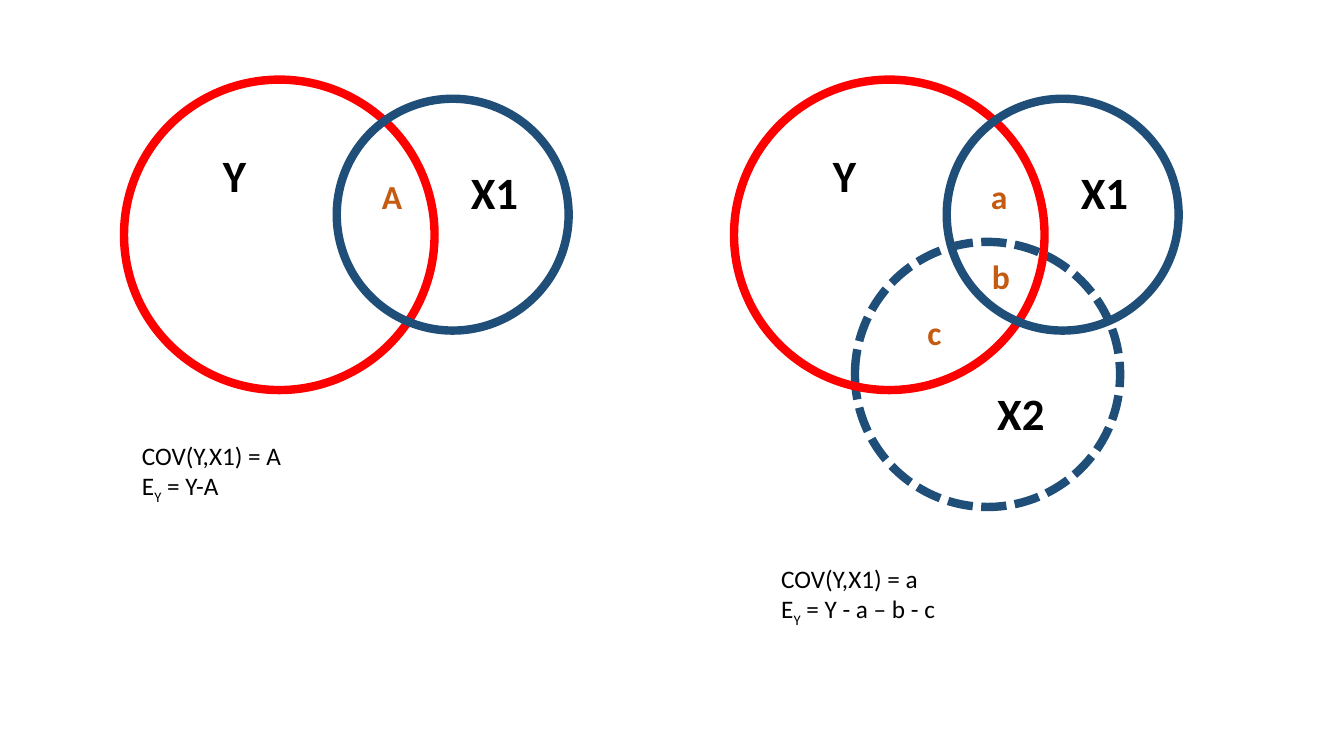
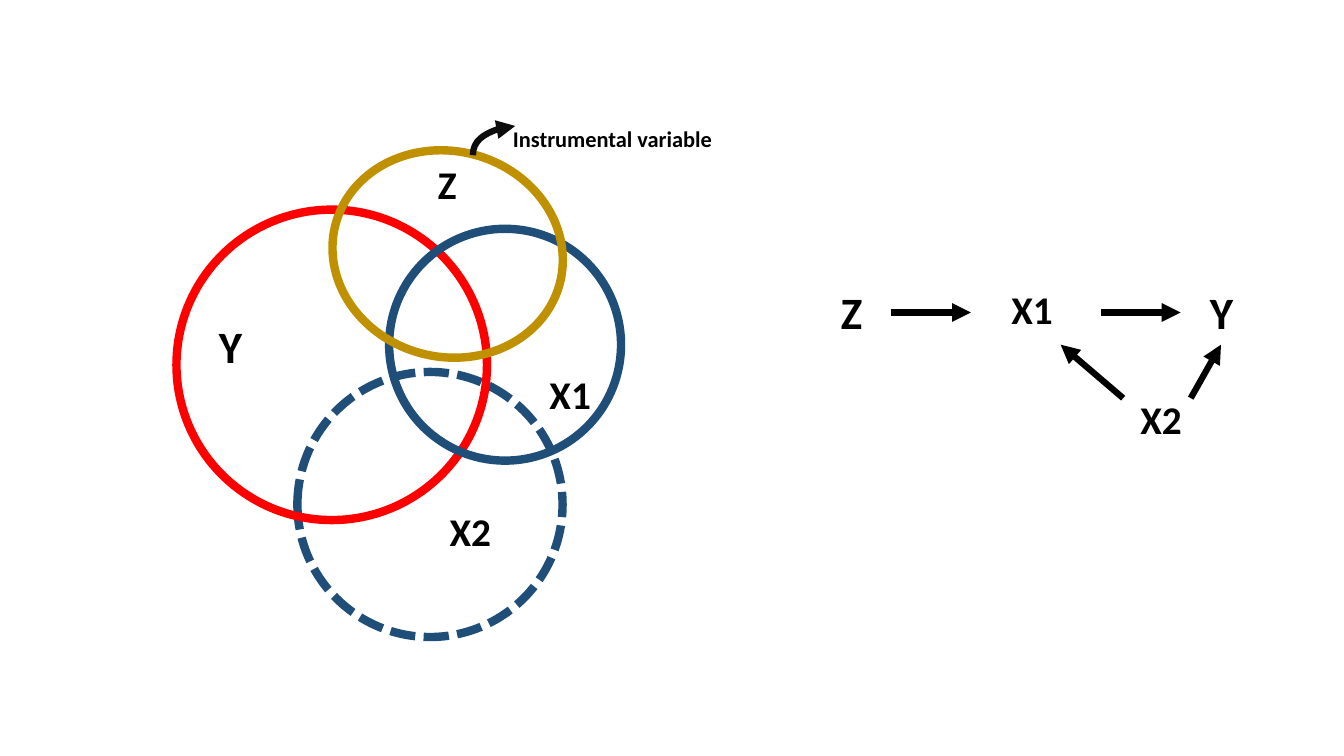
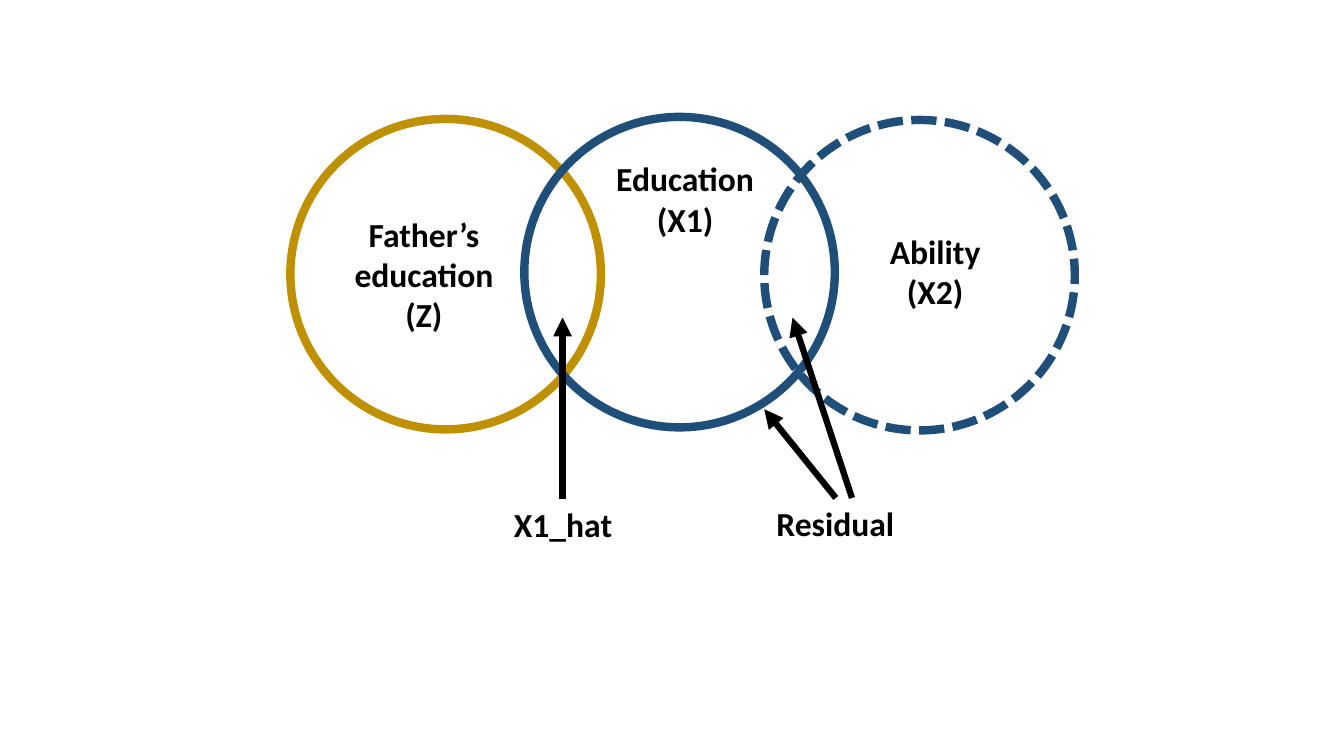
from dataclasses import dataclass

from lxml import etree
from pptx import Presentation
from pptx.dml.color import RGBColor
from pptx.enum.dml import MSO_LINE
from pptx.enum.shapes import MSO_CONNECTOR, MSO_SHAPE
from pptx.enum.text import MSO_AUTO_SIZE, PP_ALIGN
from pptx.oxml.ns import qn
from pptx.util import Inches, Pt

OVAL = MSO_SHAPE.OVAL
STRAIGHT, CURVE = MSO_CONNECTOR.STRAIGHT, MSO_CONNECTOR.CURVE
DASHED = MSO_LINE.SQUARE_DOT
LEFT, CENTER = PP_ALIGN.LEFT, PP_ALIGN.CENTER
GROW = MSO_AUTO_SIZE.SHAPE_TO_FIT_TEXT
BLANK_LAYOUT = 6

# The slide is a square grid: 133.3 columns by 75 rows.
COLUMNS, ROWS = 133.3, 75
CELL = Inches(0.1)
LARGE, MEDIUM, SMALL = 30.8, 26.3, 23  # circle diameters in cells


@dataclass(frozen=True)
class Theme:
    """Colours, font, type sizes and line widths of the deck."""
    font: str = "Calibri"
    black: str = "000000"
    near_black: str = "0D0D0D"
    red: str = "FF0000"
    blue: str = "1F4E79"
    gold: str = "BF9000"
    orange: str = "C55A11"
    variable: int = 32
    compact: int = 28
    caption: int = 24
    formula: int = 18
    note: int = 16
    ring: float = 6
    arrow: float = 4.5


THEME = Theme()


def cells(*counts):
    """Turn counts of grid cells into lengths."""
    return [round(count * CELL) for count in counts]


def add_ring(shapes, left, top, width, color, height=None, dashed=False, turn=0):
    """Draw an unfilled circle, or an ellipse when a height is given."""
    ring = shapes.add_shape(OVAL, *cells(left, top, width, height or width))
    ring.shadow.inherit = False
    ring.fill.background()
    ring.line.color.rgb = RGBColor.from_string(color)
    ring.line.width = Pt(THEME.ring)
    if dashed:
        ring.line.dash_style = DASHED
    ring.rotation = turn


def add_text(shapes, left, top, width, paragraphs, size, color=THEME.black,
             bold=True, align=CENTER, lines=None):
    """Write paragraphs; a paragraph given as a tuple has its second span lowered."""
    height = 1 + (lines or len(paragraphs)) * size * 12.2 / 72
    box = shapes.add_textbox(*cells(left, top, width, height))
    frame = box.text_frame
    frame.word_wrap = True
    frame.auto_size = GROW
    for index, content in enumerate(paragraphs):
        para = frame.add_paragraph() if index else frame.paragraphs[0]
        para.alignment = align
        para.font.name = THEME.font
        para.font.size = Pt(size)
        para.font.bold = bold
        para.font.color.rgb = RGBColor.from_string(color)
        spans = content if isinstance(content, tuple) else (content,)
        for place, words in enumerate(spans):
            span = para.add_run()
            span.text = words
            if place == 1:
                span.font._element.set("baseline", "-25000")


def style_arrow(arrow, color):
    """Give a connector its line, its arrowhead and no shadow."""
    arrow.line.color.rgb = RGBColor.from_string(color)
    arrow.line.width = Pt(THEME.arrow)
    etree.SubElement(arrow.line._get_or_add_ln(), qn("a:tailEnd"), type="triangle")
    etree.SubElement(arrow._element.spPr, qn("a:effectLst"))


def add_arrow(shapes, start, end):
    """Draw a straight arrow between two grid points."""
    style_arrow(shapes.add_connector(STRAIGHT, *cells(*start, *end)), THEME.black)


def add_bent_arrow(shapes, start, end):
    """Draw a quarter-curve arrow that rises from start and runs right to end."""
    middle_x, middle_y = (start[0] + end[0]) / 2, (start[1] + end[1]) / 2
    half_x, half_y = (end[0] - start[0]) / 2, (start[1] - end[1]) / 2
    arrow = shapes.add_connector(CURVE, *cells(
        middle_x + half_y, middle_y + half_x, middle_x - half_y, middle_y - half_x))
    properties = arrow._element.spPr
    properties.find(qn("a:xfrm")).set("rot", str(90 * 60000))
    properties.find(qn("a:prstGeom")).set("prst", "curvedConnector2")
    style_arrow(arrow, THEME.near_black)


def add_venn(shapes, left, top, with_x2=True):
    """Draw the overlapping rings of Y, X1 and, if wanted, X2."""
    if with_x2:
        add_ring(shapes, left + 12, top + 16.1, MEDIUM, THEME.blue, dashed=True)
    add_ring(shapes, left, top, LARGE, THEME.red)
    add_ring(shapes, left + 21.1, top + 1.9, SMALL, THEME.blue)


def new_diagram(deck):
    """Add a blank slide and return the shapes of a group on it."""
    page = deck.slides.add_slide(deck.slide_layouts[BLANK_LAYOUT])
    return page.shapes.add_group_shape().shapes


def build_covariance(deck):
    """Compare the overlap of Y and X1 without and with X2."""
    shapes = new_diagram(deck)
    top = 7.9
    one_regressor = [("A", 24.6, 9.1)]
    two_regressors = [("a", 24.5, 9.1), ("b", 24.6, 17), ("c", 18.2, 22.5)]
    for left, with_x2, overlaps in ((72.8, True, two_regressors),
                                    (12.3, False, one_regressor)):
        add_venn(shapes, left, top, with_x2)
        add_text(shapes, left + 3.7, top + 6.3, 14.5, ["Y"], THEME.variable)
        add_text(shapes, left + 28, top + 7.9, 17.5, ["X1"], THEME.variable)
        if with_x2:
            add_text(shapes, left + 20.2, top + 29.9, 16.5, ["X2"], THEME.variable)
        for letter, across, down in overlaps:
            add_text(shapes, left + across, top + down, 5.6, [letter],
                     THEME.caption, THEME.orange, align=LEFT)
    for left, formula_top, area, error in ((13.1, 43.2, "A", "Y-A"),
                                           (76.5, 55.4, "a", "Y - a – b - c")):
        add_text(shapes, left, formula_top, 38.8,
                 [f"COV(Y,X1) = {area}", ("E", "Y", f" = {error}")],
                 THEME.formula, bold=False, align=LEFT)


def build_instrument(deck):
    """Show the instrumental variable Z as rings and as a causal graph."""
    rings = new_diagram(deck)
    add_venn(rings, 17.5, 20.8)
    add_text(rings, 16.9, 31.1, 11.9, ["Y"], THEME.variable)
    for name, left, top in (("X1", 52.1, 36.2), ("X2", 42.2, 49.8)):
        add_text(rings, left, top, 8.9, [name], THEME.compact)
    add_ring(rings, 32.9, 15, SMALL, THEME.gold, height=20.4, turn=14.6)
    add_text(rings, 39.9, 15.4, 8.9, ["Z"], THEME.compact)
    add_bent_arrow(rings, (46.9, 15.4), (51.1, 12.5))
    add_text(rings, 47.8, 11.9, 25.9, ["Instrumental variable"], THEME.note)

    graph = deck.slides[-1].shapes.add_group_shape().shapes
    for name, left, top, width, size in (
            ("Y", 115.2, 27.8, 11.9, THEME.variable),
            ("X1", 97.9, 27.8, 8.9, THEME.compact),
            ("X2", 110.7, 38.7, 8.9, THEME.compact),
            ("Z", 78.5, 27.8, 11.9, THEME.variable)):
        add_text(graph, left, top, width, [name], size)
    for start, end in (((88.4, 31), (96.3, 31)), ((109.2, 31), (117.1, 31)),
                       ((118.1, 39.5), (121.1, 34.2)),
                       ((111.4, 39.5), (105.2, 34.2))):
        add_arrow(graph, start, end)


def build_education(deck):
    """Apply the instrument to education, ability and father's education."""
    shapes = new_diagram(deck)
    add_ring(shapes, 75.8, 11.9, LARGE, THEME.blue, dashed=True)
    add_ring(shapes, 28.8, 11.8, LARGE, THEME.gold)
    add_ring(shapes, 52, 11.6, LARGE, THEME.blue)
    for paragraphs, left, top, width, lines in (
            (["Father’s education (Z)"], 33.9, 20.7, 16.3, 3),
            (["Education", "(X1)"], 59.2, 15.2, 17.5, 2),
            (["Ability", "(X2)"], 84.5, 22.4, 16.5, 2),
            (["X1_hat"], 47.1, 49.5, 17.5, 1),
            (["Residual"], 74.1, 49.4, 17.5, 1)):
        add_text(shapes, left, top, width, paragraphs, THEME.caption, lines=lines)
    for start, end in (((55.8, 49.5), (55.8, 31.5)), ((82.9, 49.4), (75.8, 40.6)),
                       ((84.5, 49.4), (78.6, 31.5))):
        add_arrow(shapes, start, end)


def main():
    """Build the three slides and save the deck."""
    deck = Presentation()
    deck.slide_width, deck.slide_height = cells(COLUMNS, ROWS)
    build_covariance(deck)
    build_instrument(deck)
    build_education(deck)
    deck.save("out.pptx")


main()
